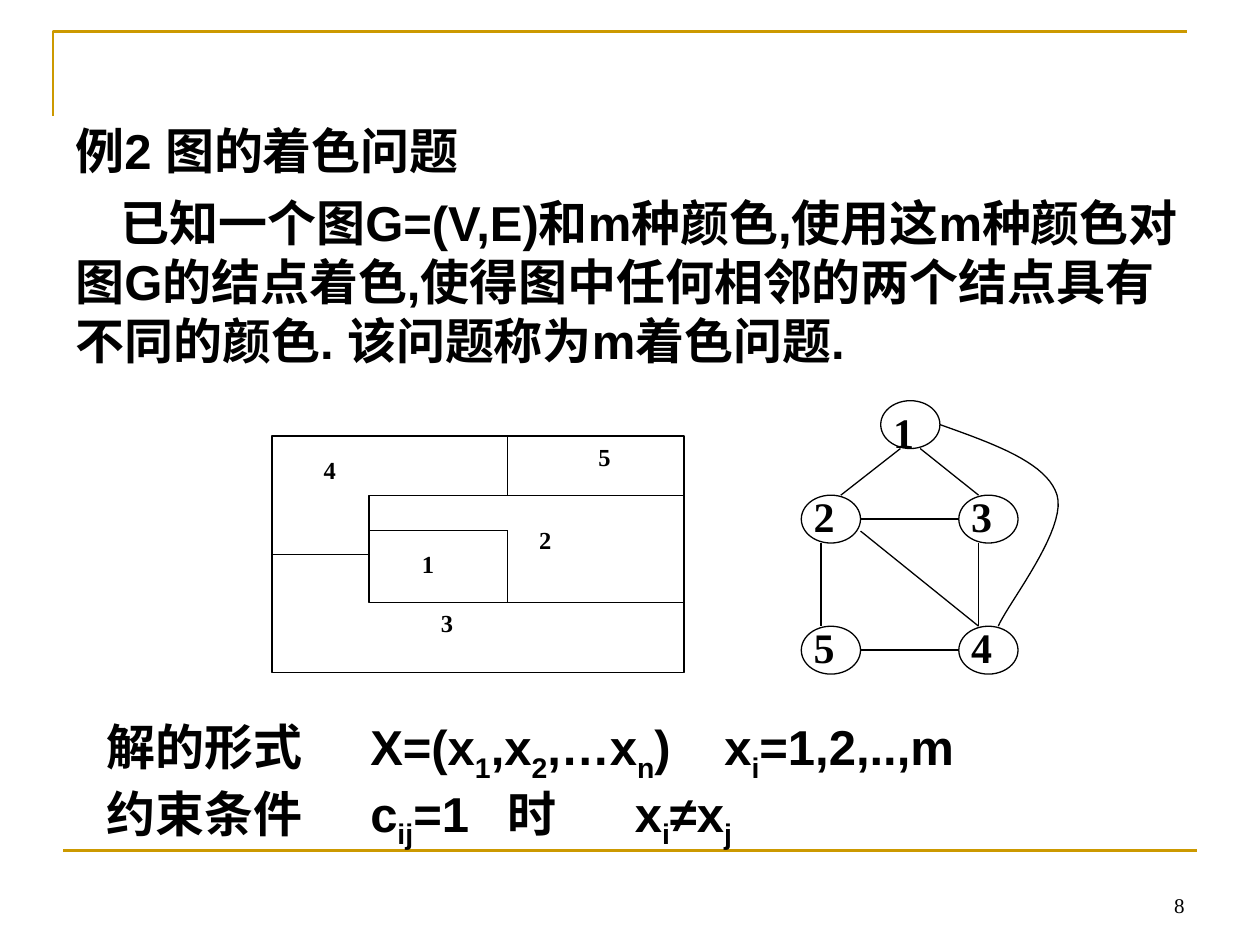
from dataclasses import dataclass

from lxml.etree import SubElement
from pptx import Presentation
from pptx.dml.color import RGBColor
from pptx.enum.shapes import MSO_CONNECTOR as Link, MSO_SHAPE as Kind
from pptx.enum.text import MSO_ANCHOR as Anchor, PP_ALIGN as Align
from pptx.oxml.ns import qn
from pptx.util import Inches, Pt


@dataclass(frozen=True)
class Theme:
    ink: RGBColor = RGBColor(0, 0, 0)
    paper: RGBColor = RGBColor(255, 255, 255)
    gold: RGBColor = RGBColor(0xCC, 0x99, 0x00)
    sans: str = "Arial"
    serif: str = "Times New Roman"
    body: int = 28
    node: int = 24
    area: int = 14
    foot: int = 12
    thin: float = 0.75
    rule: float = 1.5


T = Theme()


def add_text(slide, box, paras, size=T.body, font=T.sans, bold=True,
             align=None, anchor=Anchor.TOP, gap=0, indents=(), tabs=()):
    """Each paragraph is a string; parts between underscores are subscripts."""
    frame = slide.shapes.add_textbox(*map(Inches, box)).text_frame
    frame.word_wrap = True
    frame.vertical_anchor = anchor
    for n, text in enumerate(paras):
        para = frame.add_paragraph() if n else frame.paragraphs[0]
        props = para._p.get_or_add_pPr()
        if indents:
            props.set("indent", str(Inches(indents[n])))
        if tabs:
            stops = SubElement(props, qn("a:tabLst"))
            for pos in tabs[n]:
                SubElement(stops, qn("a:tab"), pos=str(Inches(pos)), algn="l")
        if align is not None:
            para.alignment = align
        if n and gap:
            para.space_before = Pt(gap)
        for k, part in enumerate(text.split("_")):
            run = para.add_run()
            run.text = part
            style = run.font
            style.name, style.size, style.bold = font, Pt(size), bold
            style.color.rgb = T.ink
            if k % 2:
                style._element.set("baseline", "-25000")


def add_line(slide, start, end, color=T.ink, width=T.thin):
    line = slide.shapes.add_connector(
        Link.STRAIGHT, *map(Inches, (*start, *end)))
    line.line.color.rgb = color
    line.line.width = Pt(width)
    SubElement(line._element.spPr, qn("a:effectLst"))
    return line


def add_path(slide, points, color=T.ink, width=T.thin):
    spots = [(Inches(x), Inches(y)) for x, y in points]
    pen = slide.shapes.build_freeform(*spots[0])
    pen.add_line_segments(spots[1:], close=False)
    path = pen.convert_to_shape()
    path.shadow.inherit = False
    path.fill.background()
    path.line.color.rgb = color
    path.line.width = Pt(width)


def add_form(slide, kind, box):
    form = slide.shapes.add_shape(kind, *map(Inches, box))
    form.shadow.inherit = False
    form.fill.solid()
    form.fill.fore_color.rgb = T.paper
    form.line.color.rgb = T.ink
    form.line.width = Pt(T.thin)
    return form


def add_label(slide, x, y, text, size):
    add_text(slide, (x, y, 0.47, 0.47), [text], size=size, font=T.serif,
             align=Align.JUSTIFY)


def bezier(a, b, c, d, steps=20):
    """Points along a cubic curve."""
    for n in range(steps + 1):
        t = n / steps
        u = 1 - t
        yield tuple(u**3 * p + 3 * u * u * t * q + 3 * u * t * t * r + t**3 * s
                    for p, q, r, s in zip(a, b, c, d))


def draw_frame(slide, box):
    x, y, w, h = box
    add_path(slide, [(x, y + 0.67), (x, y), (x + w, y)], T.gold, T.rule)
    base = y + h
    add_line(slide, (x + 0.08, base), (x + w + 0.08, base), T.gold, T.rule)


def draw_map(slide, box):
    x, y, w, h = box
    left, top, mid, low, wall = x + 0.77, y + 0.47, y + 0.75, y + 1.32, x + 1.87
    outer = add_form(slide, Kind.RECTANGLE, box)
    add_form(slide, Kind.RECTANGLE, (left, top, x + w - left, low - top))
    border = add_line(slide, (x, y + h / 2), (left, y + h / 2))
    border.begin_connect(outer, 1)
    for start, end in (((wall, y), (wall, top)),
                       ((left, mid), (wall, mid)),
                       ((wall, mid), (wall, low))):
        add_line(slide, start, end)
    areas = {"1": (1.09, 0.85), "2": (2.02, 0.66), "3": (1.24, 1.32),
             "4": (0.31, 0.1), "5": (2.49, 0)}
    for name, (dx, dy) in areas.items():
        add_label(slide, x + dx, y + dy, name, T.area)


def draw_graph(slide, box):
    x, y, w, h = box
    wide, tall = 0.47, 0.38
    right, row, base = x + 1.25, y + 0.75, y + h - tall
    nodes = {"1": (x + 0.63, y), "2": (x, row), "3": (right, row),
             "4": (right, base), "5": (x, base)}
    for name, (left, top) in nodes.items():
        add_form(slide, Kind.OVAL, (left, top, wide, tall))
        lift = 0 if name == "1" else 0.09
        add_label(slide, left, top - lift, name, T.node)

    def spot(name, dx, dy):
        left, top = nodes[name]
        return left + dx * wide, top + dy * tall

    near, far = 1 / 3, 2 / 3
    edges = (("1", near, 1, "2", far, 0), ("1", far, 1, "3", near, 0),
             ("2", 1, 0.5, "3", 0, 0.5), ("2", near, 1, "5", near, 0),
             ("2", 1, 0.75, "4", near, 0), ("3", near, 1, "4", near, 0),
             ("5", 1, 0.5, "4", 0, 0.5))
    for edge in edges:
        add_line(slide, spot(*edge[:3]), spot(*edge[3:]))

    bend = (x + 2.03, y + 0.75)
    upper = bezier(spot("1", 1, 0.5), (x + 1.52, y + 0.34),
                   (x + 1.95, y + 0.49), bend)
    lower = bezier(bend, (x + 2.11, y + 1.02),
                   (x + 1.64, y + 1.61), spot("4", far, 0))
    add_path(slide, [*upper, *list(lower)[1:]])


def draw_problem(slide, box):
    add_text(slide, box, [
        "例2 图的着色问题",
        "已知一个图G=(V,E)和m种颜色,使用这m种颜色对图G的结点着色,"
        "使得图中任何相邻的两个结点具有不同的颜色. 该问题称为m着色问题.",
    ], gap=7.5, indents=(0, 0.36))


def draw_answer(slide, box):
    add_text(slide, box, [
        "解的形式\tX=(x_1_,x_2_,…x_n_)\tx_i_=1,2,..,m",
        "约束条件\tc_ij_=1\t时\tx_i_≠x_j_",
    ], tabs=((2.09, 4.9), (2.09, 3.18, 4.19)))


def draw_number(slide, box):
    add_text(slide, box, ["8"], size=T.foot, font=T.serif, bold=False,
             align=Align.RIGHT, anchor=Anchor.BOTTOM)


def main():
    deck = Presentation()
    deck.slide_width, deck.slide_height = Inches(10), Inches(7.5)
    slide = deck.slides.add_slide(deck.slide_layouts[6])
    draw_frame(slide, (0.42, 0.25, 9, 6.5))
    draw_problem(slide, (0.5, 0.91, 9, 2.13))
    draw_map(slide, (2.16, 3.46, 3.27, 1.88))
    draw_graph(slide, (6.36, 3.18, 2.1, 2.17))
    draw_answer(slide, (0.75, 5.64, 8.58, 1.16))
    draw_number(slide, (7.17, 6.83, 2.33, 0.5))
    deck.save("out.pptx")


if __name__ == "__main__":
    main()
